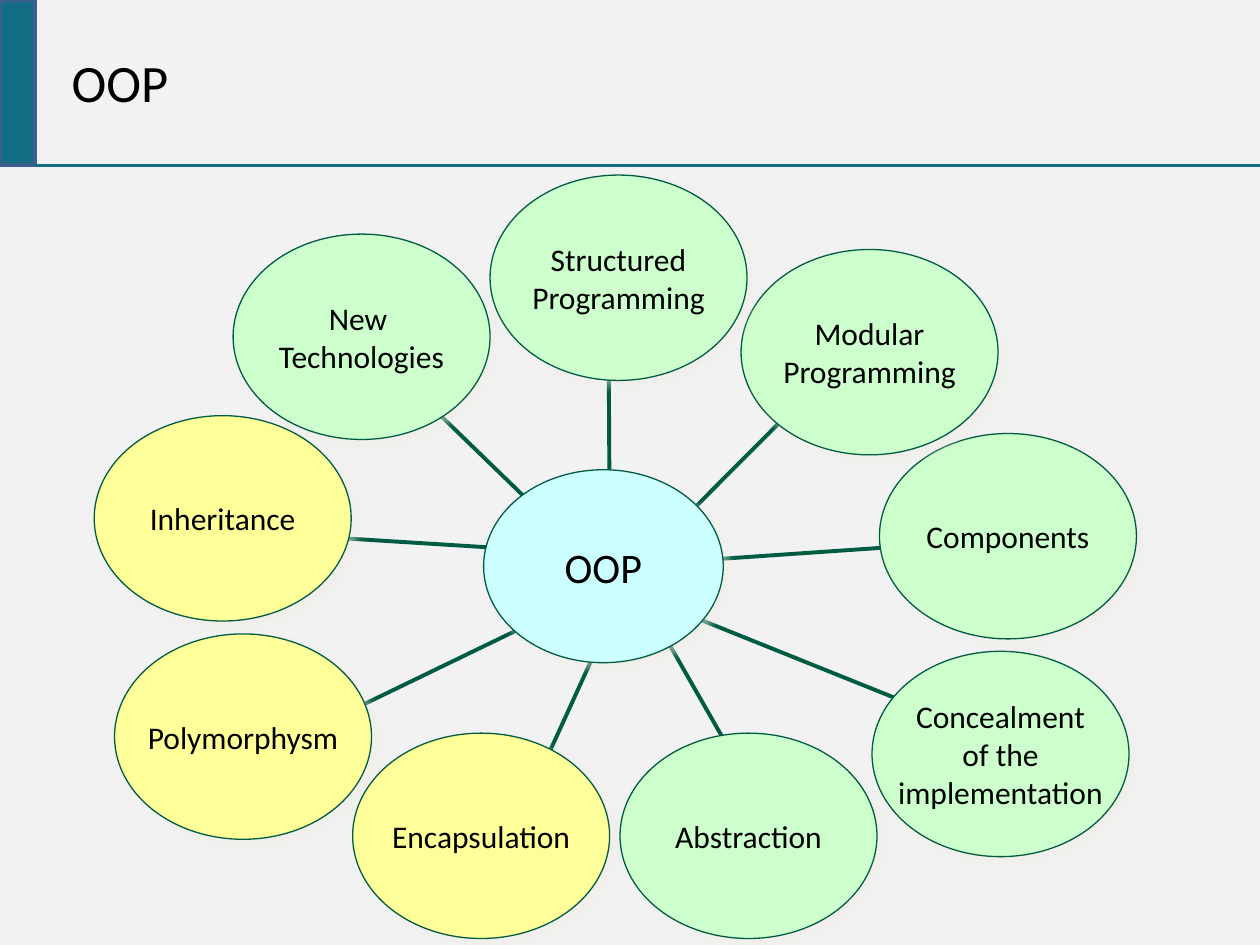
"""Build a slide showing OOP as a hub with its related concepts around it."""
from dataclasses import dataclass

from lxml import etree
from pptx import Presentation
from pptx.dml.color import RGBColor
from pptx.enum.shapes import MSO_CONNECTOR, MSO_SHAPE
from pptx.enum.text import MSO_ANCHOR, PP_ALIGN
from pptx.oxml import parse_xml
from pptx.oxml.ns import qn
from pptx.util import Cm, Pt

OVAL, RECTANGLE = MSO_SHAPE.OVAL, MSO_SHAPE.RECTANGLE
STRAIGHT = MSO_CONNECTOR.STRAIGHT
MIDDLE = MSO_ANCHOR.MIDDLE
LEFT, CENTER = PP_ALIGN.LEFT, PP_ALIGN.CENTER


@dataclass(frozen=True)
class Theme:
    font: str = "Calibri"
    ink: str = "000000"
    paper: str = "F2F2F2"
    accent: str = "146E83"
    accent_edge: str = "3A5F8C"
    outline: str = "005B43"
    shadow: str = "EEECE1"
    green: str = "CCFFCC"
    yellow: str = "FFFF99"
    cyan: str = "CCFFFF"
    title_size: int = 30
    hub_size: int = 24
    topic_size: int = 18


THEME = Theme()
TITLE = "OOP"
HUB = ("OOP", (9.75, 9.47), (4.83, 3.89))
TOPIC_SIZE = (5.18, 4.14)
TOPICS = [
    ("New \nTechnologies", THEME.green, (4.7, 4.72), (10.69, 10.13), (8.41, 7.92)),
    ("Inheritance", THEME.yellow, (1.9, 8.38), (11.71, 11.15), (6.1, 10.8)),
    ("Polymorphysm", THEME.yellow, (2.31, 12.78), (11.38, 12.24), (7.06, 14.33)),
    ("Encapsulation", THEME.yellow, (7.11, 14.78), (12.29, 12.5), (11.1, 15.11)),
    ("Abstraction", THEME.green, (12.5, 14.78), (13.11, 12.32), (14.94, 15.52)),
    ("Concealment\nof the\nimplementation", THEME.green, (17.58, 13.13), (13.49, 12.24), (18.69, 14.33)),
    ("Components", THEME.green, (17.73, 8.74), (13.59, 11.33), (18.11, 11.02)),
    ("Modular\nProgramming", THEME.green, (14.94, 5.03), (13.34, 10.9), (15.85, 8.38)),
    ("Structured\nProgramming", THEME.green, (9.88, 3.53), (12.29, 10.57), (12.27, 7.09)),
]
SHADOW_XML = (
    '<a:effectLst xmlns:a="http://schemas.openxmlformats.org/drawingml/2006/main">'
    '<a:outerShdw blurRad="63500" dist="53340" dir="2700000" algn="ctr" rotWithShape="0">'
    f'<a:srgbClr val="{THEME.shadow}"><a:alpha val="50000"/></a:srgbClr>'
    "</a:outerShdw></a:effectLst>"
)


def color(value):
    return RGBColor.from_string(value)


def write(box, text, size, align=CENTER, wrap=True, inset=None):
    frame = box.text_frame
    frame.text = text
    frame.word_wrap = wrap
    frame.vertical_anchor = MIDDLE
    if inset is not None:
        frame.margin_left = frame.margin_right = inset
        frame.margin_top = frame.margin_bottom = inset
    for para in frame.paragraphs:
        para.alignment = align
        for span in para.runs:
            span.font.name = THEME.font
            span.font.size = Pt(size)
            span.font.color.rgb = color(THEME.ink)


def add_shape(page, kind, corner, size, fill, line, width):
    shape = page.shapes.add_shape(kind, *map(Cm, corner + size))
    shape.shadow.inherit = False
    shape.fill.solid()
    shape.fill.fore_color.rgb = color(fill)
    shape.line.color.rgb = color(line)
    shape.line.width = Pt(width)
    return shape


def add_line(page, start, end, line, width):
    connector = page.shapes.add_connector(STRAIGHT, *map(Cm, start + end))
    connector.line.color.rgb = color(line)
    connector.line.width = Pt(width)
    etree.SubElement(connector._element.spPr, qn("a:effectLst"))


def add_bubble(page, text, corner, size, fill, text_size):
    bubble = add_shape(page, OVAL, corner, size, fill, THEME.outline, 0.75)
    properties = bubble._element.spPr
    properties.replace(properties.find(qn("a:effectLst")), parse_xml(SHADOW_XML))
    write(bubble, text, text_size, wrap=False, inset=0)


def build():
    deck = Presentation()
    deck.slide_width, deck.slide_height = Cm(25.4), Cm(19.05)
    page = deck.slides.add_slide(deck.slide_layouts[5])
    page.background.fill.solid()
    page.background.fill.fore_color.rgb = color(THEME.paper)

    title = page.shapes.title
    title.left, title.top, title.width, title.height = map(Cm, (1.19, 0, 20.7, 3.3))
    write(title, TITLE, THEME.title_size, align=LEFT)
    add_shape(page, RECTANGLE, (0, 0), (0.71, 3.33), THEME.accent, THEME.accent_edge, 2)
    add_line(page, (0.71, 3.33), (25.4, 3.33), THEME.accent, 1.75)

    for _, _, _, start, end in TOPICS:
        add_line(page, start, end, THEME.outline, 2.25)
    for text, fill, corner, _, _ in TOPICS:
        add_bubble(page, text, corner, TOPIC_SIZE, fill, THEME.topic_size)
    add_bubble(page, *HUB, THEME.cyan, THEME.hub_size)
    deck.save("out.pptx")


build()
